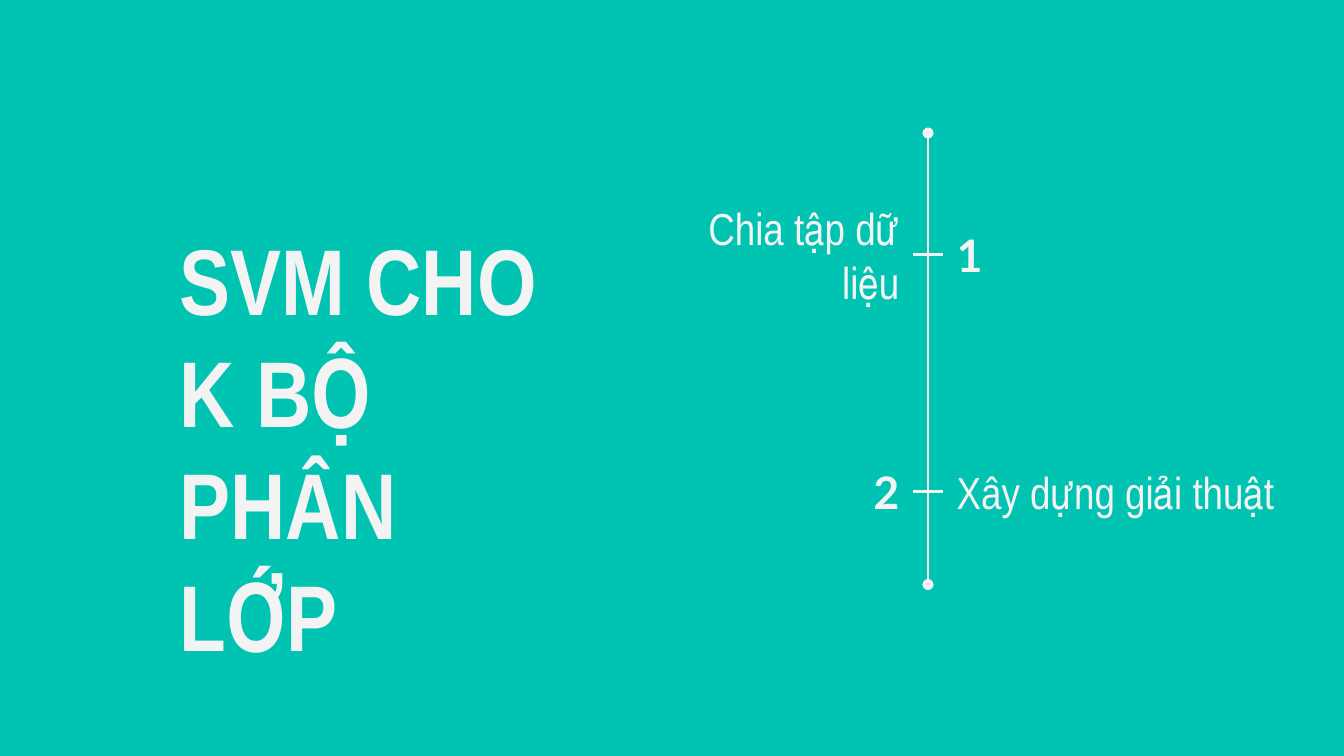
from pptx import Presentation
from pptx.dml.color import RGBColor
from pptx.enum.shapes import MSO_CONNECTOR
from pptx.enum.text import MSO_ANCHOR, PP_ALIGN
from pptx.oxml.ns import qn
from pptx.util import Inches, Pt
from lxml.etree import SubElement

TEAL = RGBColor(0x00, 0xC3, 0xB1)
PALE = RGBColor(0xF3, 0xF3, 0xF3)
NARROW, LATO = "Arial Narrow", "Lato"


def add_text(slide, text, left, top, width, height, size=24, font=NARROW,
             bold=False, align=PP_ALIGN.LEFT, anchor=MSO_ANCHOR.MIDDLE, indent=0):
    box = slide.shapes.add_textbox(Inches(left), Inches(top), Inches(width), Inches(height))
    frame = box.text_frame
    frame.word_wrap = True
    frame.vertical_anchor = anchor
    frame.margin_left = frame.margin_right = Inches(0.1)
    frame.margin_top = frame.margin_bottom = Inches(0.1)
    para = frame.paragraphs[0]
    para.alignment = align
    if indent:
        para._p.get_or_add_pPr().set("marL", str(Inches(indent)))
    run = para.add_run()
    run.text = text
    run.font.name, run.font.size, run.font.bold = font, Pt(size), bold
    run.font.color.rgb = PALE
    return box


def add_line(slide, x1, y1, x2, y2, dots=False):
    """Draw a thin line, with a dot at each end if asked."""
    line = slide.shapes.add_connector(
        MSO_CONNECTOR.STRAIGHT, Inches(x1), Inches(y1), Inches(x2), Inches(y2))
    line.line.color.rgb = PALE
    line.line.width = Pt(1.5)
    if dots:
        for end in ("a:headEnd", "a:tailEnd"):
            SubElement(line.line._get_or_add_ln(), qn(end), type="oval")
    SubElement(line._element.spPr, qn("a:effectLst"))
    return line


def add_title(slide, left, top, width, height):
    add_text(slide, "SVM CHO K BỘ PHÂN LỚP", left, top, width, height,
             size=50, bold=True, anchor=MSO_ANCHOR.TOP)


def add_timeline(slide, left, top, width, height):
    """Place the steps on both sides of a vertical axis in the box."""
    side, tick, row = 2.26, 0.23, 0.69
    start = left + side + tick
    axis = start - tick / 2
    add_line(slide, axis, top, axis, top + height, dots=True)

    number = dict(font=LATO, bold=True)
    steps = [
        (0.56, ("Chia tập dữ liệu", dict(indent=0.5)), ("1", number)),
        (2.32, ("2", number), ("Xây dựng giải thuật", {})),
    ]
    for drop, (before, style), (after, other) in steps:
        y = top + drop
        first = add_text(slide, before, left, y, side, row,
                         align=PP_ALIGN.RIGHT, **style)
        second = add_text(slide, after, start, y, left + width - start, row, **other)
        mark = add_line(slide, start - tick, y + row / 2, start, y + row / 2)
        mark.begin_connect(first, 3)
        mark.end_connect(second, 1)


def main():
    deck = Presentation()
    deck.slide_width = Inches(10)
    deck.slide_height = deck.slide_width * 9 // 16
    slide = deck.slides.add_slide(deck.slide_layouts[6])
    slide.background.fill.solid()
    slide.background.fill.fore_color.rgb = TEAL
    add_title(slide, 1.24, 1.55, 3.1, 1.89)
    add_timeline(slide, 4.53, 0.99, 5.16, 3.36)
    deck.save("out.pptx")


if __name__ == "__main__":
    main()
